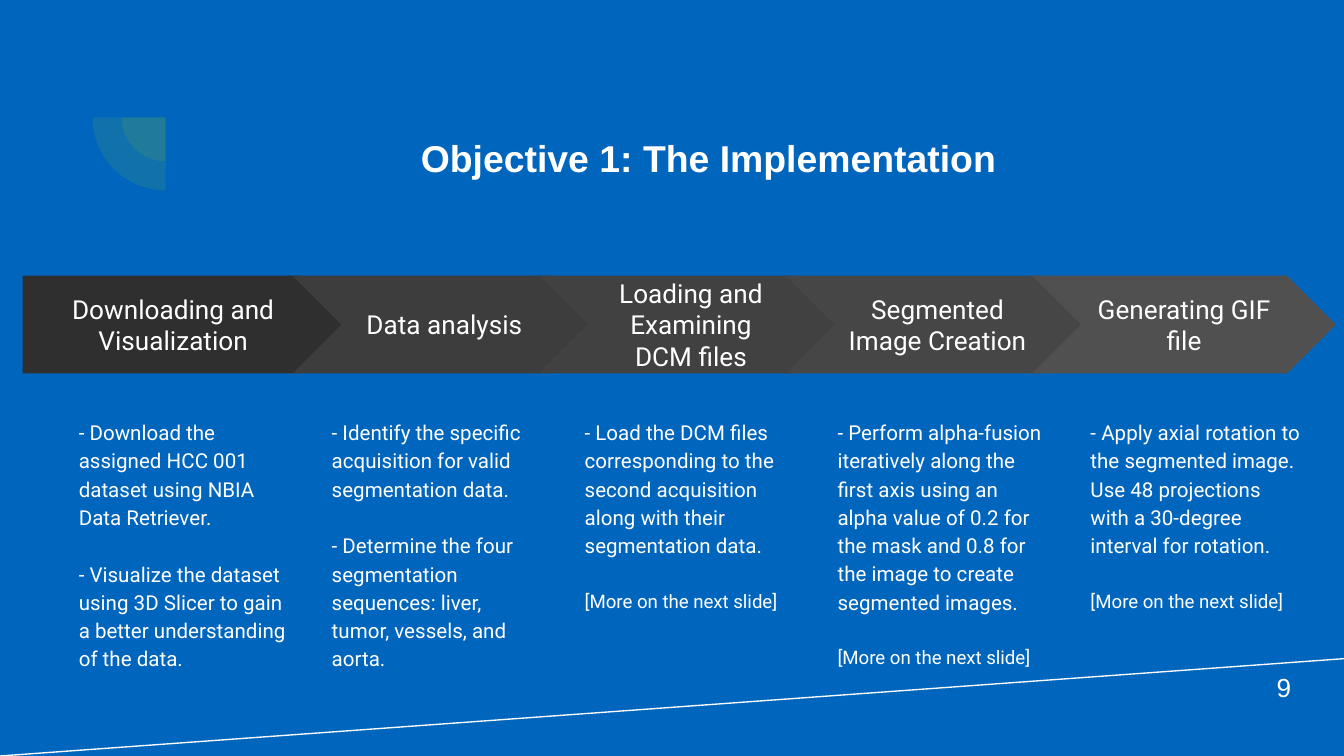
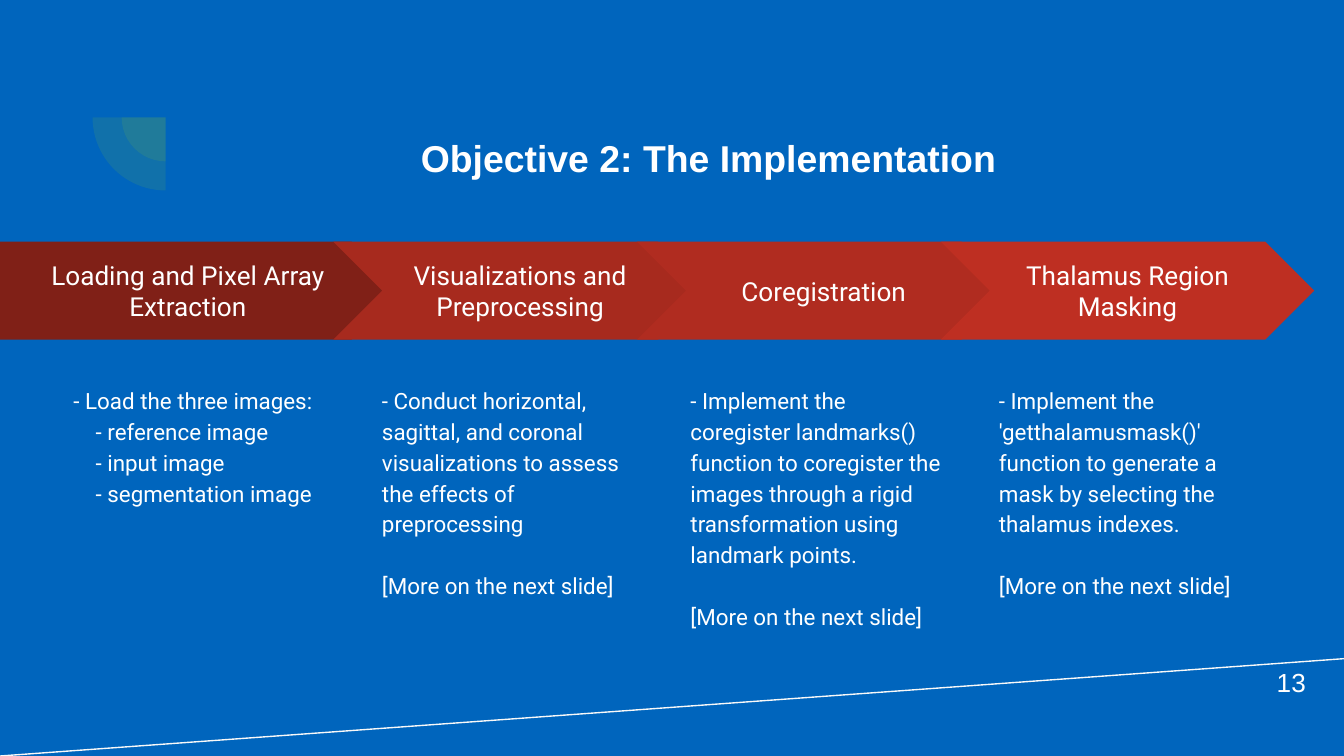
from dataclasses import dataclass

from lxml import etree
from pptx import Presentation
from pptx.dml.color import RGBColor
from pptx.enum.shapes import MSO_CONNECTOR, MSO_SHAPE
from pptx.enum.text import MSO_ANCHOR, MSO_AUTO_SIZE, PP_ALIGN
from pptx.oxml.ns import qn
from pptx.util import Cm, Pt


@dataclass(frozen=True)
class Theme:
    background: str = "0065BD"
    text: str = "FFFFFF"
    rule: str = "F9F9F9"
    accent: str = "8DC928"
    accent_alpha: int = 12000
    heading_font: str = "Arial"
    body_font: str = "Roboto"
    title_size: int = 20
    label_size: int = 14


THEME = Theme()
INSET = Cm(0.25)
STEP_HEIGHT = 1.85
SUB_INDENT = Cm(0.42)
MORE = "[More on the next slide]"

# Each step: arrow colour, heading, blocks of lines (a gap separates blocks).
OBJECTIVES = [
    dict(
        title="Objective 1: The Implementation", page="9", page_top=12.45,
        arrow_left=0.43, arrow_top=5.21, arrow_pitch=4.66,
        first_width=6.15, arrow_width=5.74, second_left=5.53,
        note_left=1.24, note_top=7.62, note_pitch=4.78,
        note_width=4.52, note_height=6.53, note_size=11, more_size=10,
        steps=[
            ("2F2F2F", "Downloading and Visualization", [
                ["- Download the assigned HCC 001 dataset using NBIA Data Retriever."],
                ["- Visualize the dataset using 3D Slicer to gain a better "
                 "understanding of the data."]]),
            ("3D3D3D", "Data analysis", [
                ["- Identify the specific acquisition for valid segmentation data."],
                ["- Determine the four segmentation sequences: liver, tumor, "
                 "vessels, and aorta."]]),
            ("414141", "Loading and Examining DCM files", [
                ["- Load the DCM files corresponding to the second acquisition "
                 "along with their segmentation data."],
                [MORE]]),
            ("464646", "Segmented Image Creation", [
                ["- Perform alpha-fusion iteratively along the first axis using an "
                 "alpha value of 0.2 for the mask and 0.8 for the image to create "
                 "segmented images."],
                [MORE]]),
            ("505050", "Generating GIF file", [
                ["- Apply axial rotation to the segmented image.",
                 "Use 48 projections with a 30-degree interval for rotation."],
                [MORE]]),
        ]),
    dict(
        title="Objective 2: The Implementation", page="13", page_top=12.34,
        arrow_left=0, arrow_top=4.57, arrow_pitch=5.74,
        first_width=7.57, arrow_width=7.06, second_left=6.3,
        note_left=1.14, note_top=6.99, note_pitch=5.83,
        note_width=5.28, note_height=7.26, note_size=12, more_size=12,
        steps=[
            ("802017", "Loading and Pixel Array Extraction", [
                ["- Load the three images:", "- reference image",
                 "- input image", "- segmentation image"]]),
            ("A72A1E", "Visualizations and Preprocessing", [
                ["- Conduct horizontal, sagittal, and coronal visualizations to "
                 "assess the effects of preprocessing"],
                [MORE]]),
            ("B02C20", "Coregistration", [
                ["- Implement the coregister landmarks() function to coregister "
                 "the images through a rigid transformation using landmark points."],
                [MORE]]),
            ("BE2F22", "Thalamus Region Masking", [
                ["- Implement the 'getthalamusmask()' function to generate a mask "
                 "by selecting the thalamus indexes."],
                [MORE]]),
        ]),
]


def set_up_frame(frame, anchor, inset=INSET):
    settings = dict(word_wrap=True, auto_size=MSO_AUTO_SIZE.NONE,
                    vertical_anchor=anchor, margin_left=inset, margin_right=inset,
                    margin_top=inset, margin_bottom=inset)
    for attribute, value in settings.items():
        setattr(frame, attribute, value)


def write(paragraph, text, font, size, bold=False, **layout):
    """Fill a paragraph; layout holds paragraph attributes such as alignment."""
    for attribute, value in layout.items():
        setattr(paragraph, attribute, value)
    run = paragraph.add_run()
    run.text = text
    for attribute, value in dict(name=font, size=Pt(size), bold=bold).items():
        setattr(run.font, attribute, value)
    run.font.color.rgb = RGBColor.from_string(THEME.text)


prs = Presentation()
prs.slide_width, prs.slide_height = Cm(25.4), Cm(14.29)
backdrop = prs.slide_master.background.fill
backdrop.solid()
backdrop.fore_color.rgb = RGBColor.from_string(THEME.background)

for objective in OBJECTIVES:
    slide = prs.slides.add_slide(prs.slide_layouts[5])
    shapes = slide.shapes

    # Slanted rule and the two quarter circles beside the title
    rule = shapes.add_connector(MSO_CONNECTOR.STRAIGHT,
                                Cm(0), Cm(14.29), Cm(25.4), Cm(12.45))
    rule.line.color.rgb = RGBColor.from_string(THEME.rule)
    rule.line.width = Pt(0.75)
    etree.SubElement(rule._element.spPr, qn("a:effectLst"))
    for radius in (0.83, 1.38):
        quarter = shapes.add_shape(MSO_SHAPE.PIE, Cm(3.13 - radius), Cm(2.22 - radius),
                                   Cm(2 * radius), Cm(2 * radius))
        quarter.rotation = 270
        quarter.adjustments[0], quarter.adjustments[1] = 108, 162
        quarter.shadow.inherit = False
        quarter.line.fill.background()
        quarter.fill.solid()
        quarter.fill.fore_color.rgb = RGBColor.from_string(THEME.accent)
        tint = quarter._element.spPr.find(qn("a:solidFill"))[0]
        etree.SubElement(tint, qn("a:alpha"), val=str(THEME.accent_alpha))

    title = shapes.title
    title.left, title.top, title.width, title.height = map(Cm, (3.63, 1.65, 19.53, 2.77))
    set_up_frame(title.text_frame, MSO_ANCHOR.MIDDLE, inset=0)
    write(title.text_frame.paragraphs[0], objective["title"], THEME.heading_font,
          THEME.title_size, bold=True, alignment=PP_ALIGN.CENTER, line_spacing=0.86)

    page = shapes.add_textbox(Cm(23.88), Cm(objective["page_top"]), Cm(1.52), Cm(1.09))
    set_up_frame(page.text_frame, MSO_ANCHOR.MIDDLE)
    write(page.text_frame.paragraphs[0], objective["page"], THEME.heading_font,
          THEME.label_size)

    for index, (colour, heading, blocks) in enumerate(objective["steps"]):
        if index == 0:
            outline, left = MSO_SHAPE.PENTAGON, objective["arrow_left"]
            width = objective["first_width"]
        else:
            outline, width = MSO_SHAPE.CHEVRON, objective["arrow_width"]
            left = objective["second_left"] + (index - 1) * objective["arrow_pitch"]
        arrow = shapes.add_shape(outline, Cm(left), Cm(objective["arrow_top"]),
                                 Cm(width), Cm(STEP_HEIGHT))
        arrow.shadow.inherit = False
        arrow.line.fill.background()
        arrow.fill.solid()
        arrow.fill.fore_color.rgb = RGBColor.from_string(colour)
        set_up_frame(arrow.text_frame, MSO_ANCHOR.MIDDLE)
        write(arrow.text_frame.paragraphs[0], heading, THEME.body_font,
              THEME.label_size, alignment=PP_ALIGN.CENTER)

        note = shapes.add_textbox(
            Cm(objective["note_left"] + index * objective["note_pitch"]),
            Cm(objective["note_top"]),
            Cm(objective["note_width"]), Cm(objective["note_height"]))
        set_up_frame(note.text_frame, MSO_ANCHOR.TOP)
        block_gap = Pt(round(1.38 * objective["note_size"], 1))
        for block_number, block in enumerate(blocks):
            for line_number, line in enumerate(block):
                opens_note = block_number == line_number == 0
                opens_block = block_number > 0 and line_number == 0
                paragraph = (note.text_frame.paragraphs[0] if opens_note
                             else note.text_frame.add_paragraph())
                if line_number > 0 and line.startswith("- "):
                    paragraph._p.get_or_add_pPr().set("marL", str(SUB_INDENT))
                size = objective["more_size" if line == MORE else "note_size"]
                write(paragraph, line, THEME.body_font, size, line_spacing=1.15,
                      space_before=block_gap if opens_block else Pt(0))

prs.save("out.pptx")
